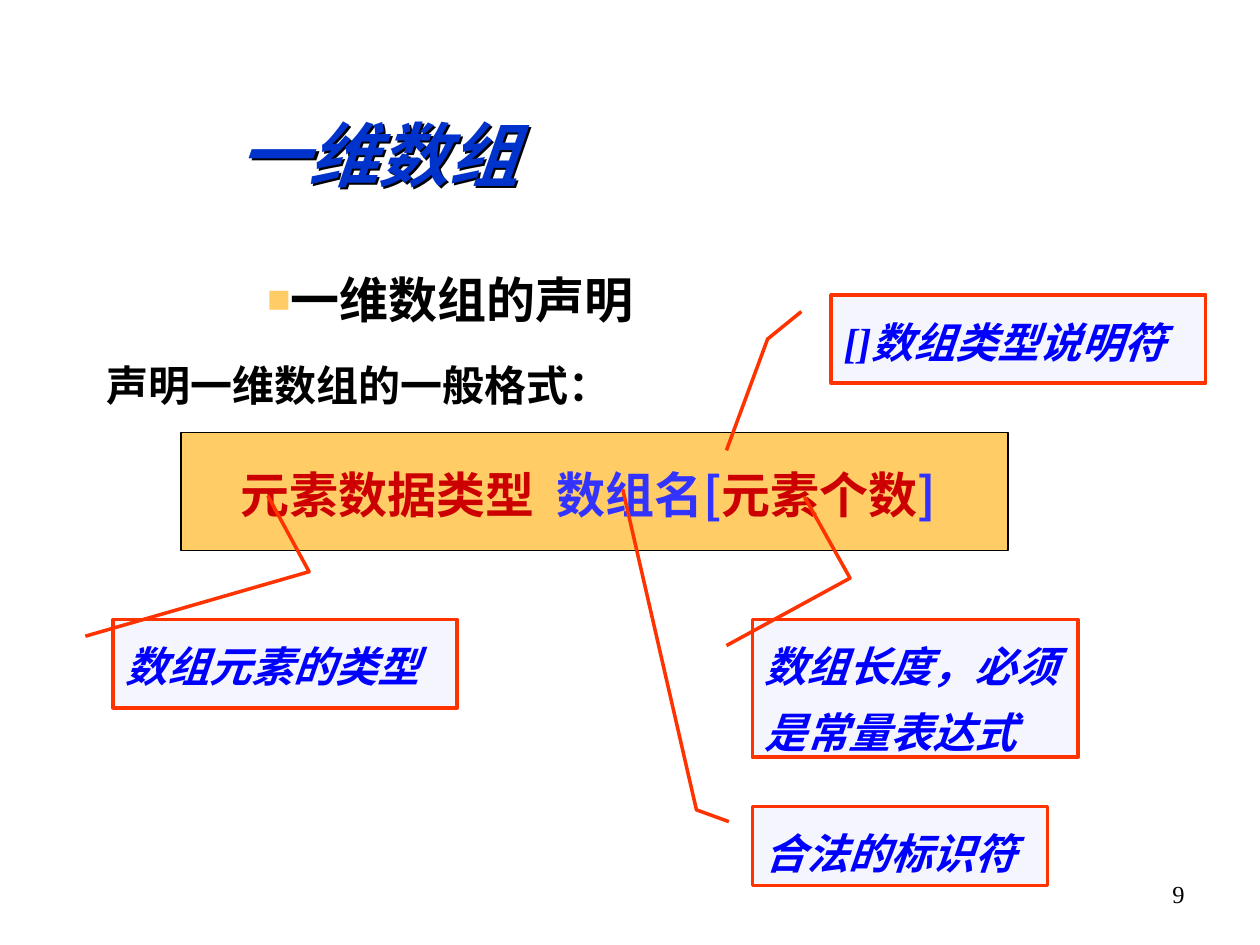
from lxml import etree
from pptx import Presentation
from pptx.dml.color import RGBColor
from pptx.enum.shapes import MSO_SHAPE
from pptx.enum.text import MSO_ANCHOR, MSO_AUTO_SIZE, PP_ALIGN
from pptx.oxml.ns import qn
from pptx.util import Pt

RECT, CALLOUT = MSO_SHAPE.RECTANGLE, MSO_SHAPE.LINE_CALLOUT_2
TOP, MIDDLE = MSO_ANCHOR.TOP, MSO_ANCHOR.MIDDLE
LEFT, CENTER, RIGHT = PP_ALIGN.LEFT, PP_ALIGN.CENTER, PP_ALIGN.RIGHT
NO_FIT = MSO_AUTO_SIZE.NONE

BLACK = RGBColor(0x00, 0x00, 0x00)
AMBER = RGBColor(0xFF, 0xCC, 0x66)
PALE = RGBColor(0xF5, 0xF6, 0xFD)
ORANGE = RGBColor(0xFF, 0x33, 0x00)
RED = RGBColor(0xCC, 0x00, 0x00)
VIOLET = RGBColor(0x33, 0x33, 0xFF)
BLUE = RGBColor(0x00, 0x00, 0xFF)
TITLE_BLUE = RGBColor(0x00, 0x33, 0xCC)

SANS, SERIF = "Noto Sans CJK SC", "Times New Roman"
TITLE = dict(name=SERIF, size=Pt(40), bold=True, italic=True)
HEADING = dict(name=SANS, size=Pt(28), bold=True)
BODY = dict(name=SANS, size=Pt(24), bold=True)
NOTE = dict(name=SERIF, size=Pt(24), bold=True, italic=True)
NUMBER = dict(name=SERIF, size=Pt(14))


def sub(parent, tag, **attrs):
    return etree.SubElement(parent, qn(tag), attrs)


class Deck:
    def __init__(self, width, height):
        self.prs = Presentation()
        self.prs.slide_width, self.prs.slide_height = Pt(width), Pt(height)
        self.s = self.prs.slides.add_slide(self.prs.slide_layouts[1])

    def place(self, sp, box):
        sp.left, sp.top, sp.width, sp.height = map(Pt, box)

    def frame(self, sp, anchor=TOP, wrap=True, insets=(7.2, 3.6, 7.2, 3.6)):
        tf = sp.text_frame
        tf.auto_size, tf.word_wrap, tf.vertical_anchor = NO_FIT, wrap, anchor
        tf.margin_left, tf.margin_top, tf.margin_right, tf.margin_bottom = map(Pt, insets)
        return tf

    def paragraph(self, p, runs, style, align=LEFT, spacing=1.0, before=0,
                  margin=0, indent=0, bullet=False):
        """Fill p with (text, colour) runs."""
        p.alignment, p.line_spacing, p.space_before = align, spacing, Pt(before)
        pPr = p._p.get_or_add_pPr()
        pPr.set("marL", str(Pt(margin)))
        pPr.set("indent", str(Pt(indent)))
        if bullet:
            sub(sub(pPr, "a:buClr"), "a:srgbClr", val=str(AMBER))
            sub(pPr, "a:buSzPct", val="80000")
            sub(pPr, "a:buChar", char="■")
        else:
            sub(pPr, "a:buNone")
        for text, color in runs:
            r = p.add_run()
            r.text = text
            for key, value in style.items():
                setattr(r.font, key, value)
            r.font.color.rgb = color
            sub(r._r.get_or_add_rPr(), "a:ea", typeface=SANS)

    def title(self, text, box):
        sp = self.s.shapes.title
        self.place(sp, box)
        tf = self.frame(sp, MIDDLE, insets=(0, 0.72, 0, 0))
        self.paragraph(tf.paragraphs[0], [(text, TITLE_BLUE)], TITLE, CENTER)
        effects = sub(sp._element.spPr, "a:effectLst")
        shadow = sub(effects, "a:outerShdw", dist=str(Pt(2)), dir="2700000")
        sub(shadow, "a:srgbClr", val=str(BLACK))

    def body(self, heading, text, box):
        sp = self.s.placeholders[1]
        self.place(sp, box)
        tf = self.frame(sp)
        self.paragraph(tf.paragraphs[0], [(heading, BLACK)], HEADING,
                       spacing=1.2, indent=92, bullet=True)
        self.paragraph(tf.add_paragraph(), [(text, BLACK)], BODY, spacing=1.2, before=12)

    def shape(self, kind, box, fill, line, weight):
        sp = self.s.shapes.add_shape(kind, *map(Pt, box))
        sp.shadow.inherit = False
        sp.fill.solid()
        sp.fill.fore_color.rgb = fill
        sp.line.color.rgb = line
        sp.line.width = Pt(weight)
        return sp

    def syntax(self, runs, box):
        sp = self.shape(RECT, box, AMBER, BLACK, 0.75)
        tf = self.frame(sp, MIDDLE, wrap=False)
        self.paragraph(tf.paragraphs[0], runs, HEADING, spacing=1.1,
                       margin=27, indent=-27, bullet=True)

    def callout(self, text, box, bend, tip):
        """bend and tip are (y, x) as fractions of the box's height and width."""
        sp = self.shape(CALLOUT, box, PALE, ORANGE, 2)
        for i, value in enumerate((0.19, -0.08, *bend, *tip)):
            sp.adjustments[i] = value
        tf = self.frame(sp)
        self.paragraph(tf.paragraphs[0], [(text, BLUE)], NOTE, spacing=1.3)

    def number(self, text, box):
        sp = self.s.shapes.add_textbox(*map(Pt, box))
        tf = self.frame(sp)
        self.paragraph(tf.paragraphs[0], [(text, BLACK)], NUMBER, RIGHT)


def main():
    deck = Deck(720, 540)
    deck.title("一维数组", (106.5, 62.5, 219.5, 49.5))
    deck.body("一维数组的声明", "声明一维数组的一般格式：", (53.5, 143.5, 607, 194.5))
    deck.syntax([("元素数据类型  ", RED), ("数组名[", VIOLET),
                 ("元素个数", RED), ("]", VIOLET)], (103.5, 247, 472.5, 67.5))
    for text, box, bend, tip in (
        ("数组长度，必须是常量表达式", (430, 354, 186, 78.75), (-0.3, 0.3), (-0.89, 0.16)),
        ("数组元素的类型", (64.5, 354, 196.75, 50.5), (-0.54, 0.57), (-1.4, 0.45)),
        ("[]数组类型说明符", (475, 168.5, 214, 50.5), (0.5, -0.17), (1.76, -0.28)),
        ("合法的标识符", (430, 461, 168.5, 45), (0.04, -0.19), (-4.03, -0.44)),
    ):
        deck.callout(text, box, bend, tip)
    deck.number("9", (516, 499, 168, 37.5))
    deck.prs.save("out.pptx")


if __name__ == "__main__":
    main()
